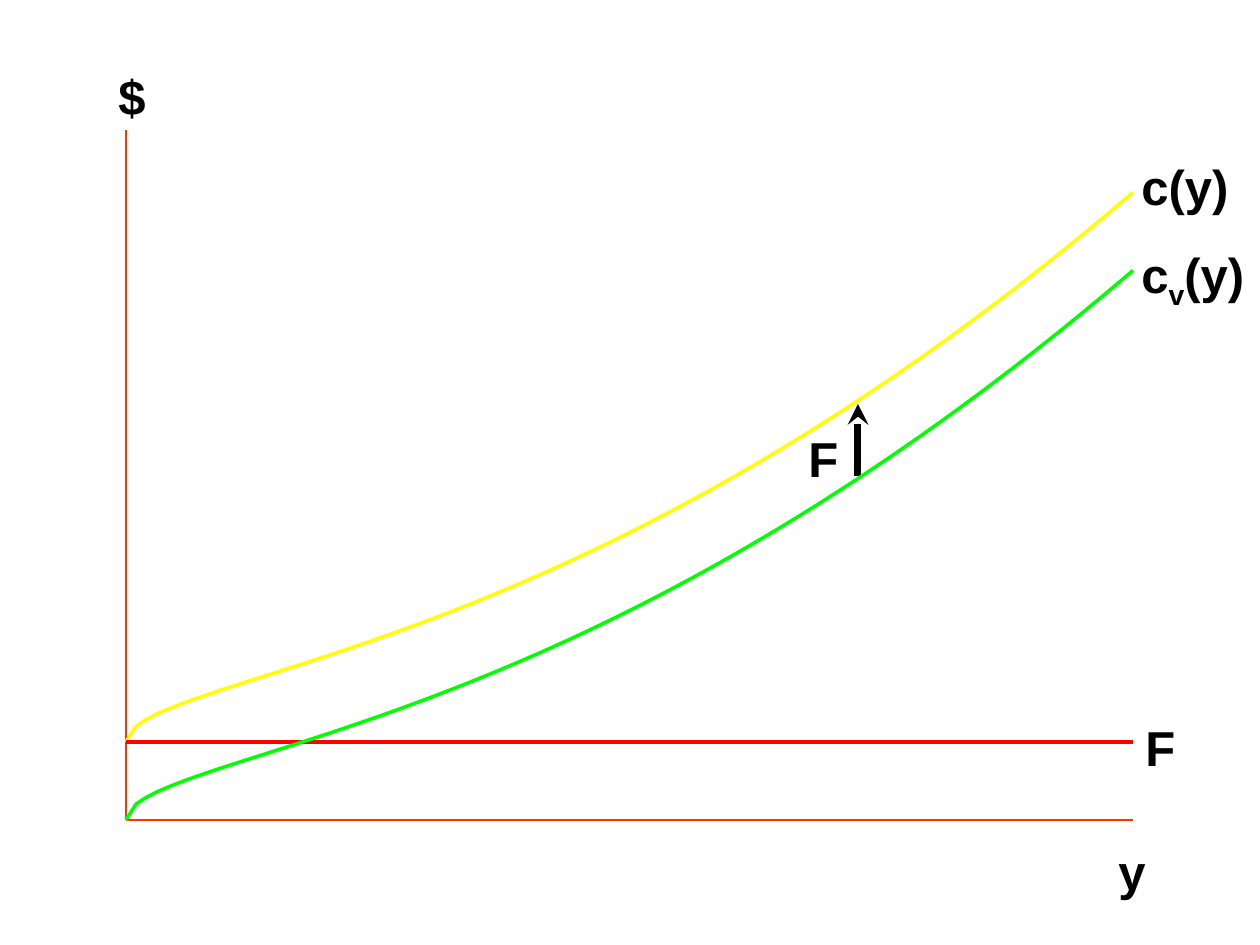
import pptx
import pptx.util
import pptx.dml.color
import pptx.enum.shapes
import pptx.enum.text
import pptx.oxml.ns
import lxml.etree

HUES = {
    "ink": "000000",
    "axis": "FF3300",
    "fixed": "FF0000",
    "total": "FFFF00",
    "var": "00FF00",
}
LEFT, RIGHT, TOP, BASE = 126, 1133, 130, 820
FIXED = 78


class Graph:
    font = "Arial"
    size = 28

    def __init__(self, slide):
        self.shapes = slide.shapes

    def emu(self, px):
        return pptx.util.Emu(round(px * 914400 / 126))

    def hue(self, name):
        return pptx.dml.color.RGBColor.from_string(HUES[name])

    def stroke(self, line, hue, width):
        line.color.rgb = self.hue(hue)
        line.width = pptx.util.Pt(width)

    def label(self, runs, left, top, width):
        box = self.shapes.add_textbox(*map(self.emu, (left, top, width, 72)))
        frame = box.text_frame
        frame.word_wrap = False
        frame.auto_size = pptx.enum.text.MSO_AUTO_SIZE.SHAPE_TO_FIT_TEXT
        para = frame.paragraphs[0]
        for text, base in runs:
            run = para.add_run()
            run.text = text
            if base:
                run._r.get_or_add_rPr().set("baseline", str(base * 1000))
        para.font.name = self.font
        para.font.size = pptx.util.Pt(self.size)
        para.font.bold = True
        para.font.color.rgb = self.hue("ink")

    def line(self, start, end, hue, width, head=None):
        kind = pptx.enum.shapes.MSO_CONNECTOR.STRAIGHT
        link = self.shapes.add_connector(kind, *map(self.emu, start + end))
        self.stroke(link.line, hue, width)
        props = link._element.spPr
        qn = pptx.oxml.ns.qn
        if head:
            tail = lxml.etree.SubElement(props.find(qn("a:ln")), qn("a:tailEnd"))
            tail.set("type", head)
        lxml.etree.SubElement(props, qn("a:effectLst"))

    def curve(self, points, hue, width):
        dots = [(self.emu(x), self.emu(y)) for x, y in points]
        pen = self.shapes.build_freeform(*dots[0])
        pen.add_line_segments(dots[1:], close=False)
        shape = pen.convert_to_shape()
        shape.shadow.inherit = False
        shape.fill.background()
        self.stroke(shape.line, hue, width)


def cost(shift):
    step = (RIGHT - LEFT) / 100
    return [
        (LEFT + step * n, BASE - shift - 15.75 * n ** 0.5 - 0.0392 * n ** 2)
        for n in range(101)
    ]


def main():
    deck = pptx.Presentation()
    deck.slide_width = pptx.util.Inches(10)
    deck.slide_height = pptx.util.Inches(7.5)
    graph = Graph(deck.slides.add_slide(deck.slide_layouts[6]))

    labels = [
        ([("y", 0)], 1106, 835, 53),
        ([("$", 0)], 106, 60, 53),
        ([("F", 0)], 1133, 711, 55),
        ([("c", 0), ("v", -25), ("(y)", 0)], 1129, 238, 131),
        ([("c(y)", 0)], 1129, 150, 112),
        ([("F", 0)], 796, 422, 55),
    ]
    for item in labels:
        graph.label(*item)

    graph.line((858, 476), (858, 404), "ink", 4, "stealth")
    graph.line((LEFT, BASE), (RIGHT, BASE), "axis", 1)
    graph.line((LEFT, BASE), (LEFT, TOP), "axis", 1)
    graph.curve(cost(FIXED), "total", 2)
    graph.line((LEFT, BASE - FIXED), (RIGHT, BASE - FIXED), "fixed", 2)
    graph.curve(cost(0), "var", 2)

    deck.save("out.pptx")


if __name__ == "__main__":
    main()
